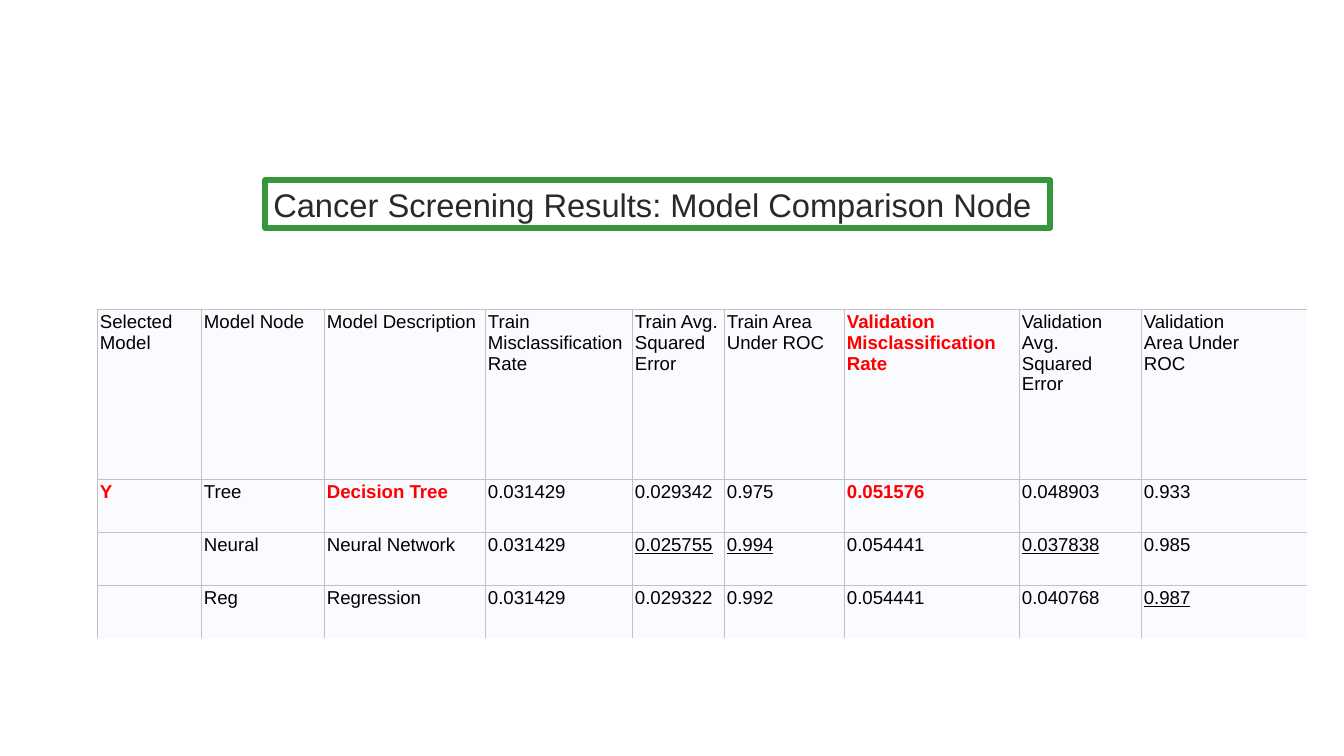
from lxml.etree import SubElement
from pptx import Presentation
from pptx.dml.color import RGBColor
from pptx.enum.shapes import MSO_SHAPE as Shape
from pptx.enum.text import MSO_ANCHOR as Anchor, PP_ALIGN as Align
from pptx.oxml.ns import qn
from pptx.util import Emu, Pt

# Content
TITLE = "Cancer Screening Results: Model Comparison Node"
ROWS = [
    ["Selected\nModel", "Model Node", "Model Description",
     "Train Misclassification\nRate", "Train Avg. Squared\nError",
     "Train Area\nUnder ROC", "Validation Misclassification\nRate",
     "Validation Avg.\nSquared Error", "Validation\nArea Under\nROC"],
    ["Y", "Tree", "Decision Tree", "0.031429", "0.029342", "0.975",
     "0.051576", "0.048903", "0.933"],
    ["", "Neural", "Neural Network", "0.031429", "0.025755", "0.994",
     "0.054441", "0.037838", "0.985"],
    ["", "Reg", "Regression", "0.031429", "0.029322", "0.992",
     "0.054441", "0.040768", "0.987"],
]
# (row, column) of the emphasised cells
WINNERS = {(0, 6), (1, 0), (1, 2), (1, 6)}
BEST_VALUES = {(2, 4), (2, 5), (2, 7), (3, 8)}

# Layout in px
SCALE = 914400 // 84
SLIDE = (1344, 756)
TITLE_BOX = (265, 180, 785, 48)
TABLE_AT = (97, 309)
COLUMN_WIDTHS = [104, 123, 161, 147, 92, 120, 175, 122, 166]
ROW_HEIGHTS = [170, 53, 53, 53]
CELL_MARGIN = 3

FONT = "Arial"
COLORS = {"title": "292929", "frame": "36963C", "text": "000000",
          "winner": "FF0000", "cell": "FAFBFE", "grid": "C1C1C1"}


def px(length):
    return Emu(length * SCALE)


def color(name):
    return RGBColor.from_string(COLORS[name])


def write(para, text, size, color_name):
    para.text = text
    para.alignment = Align.LEFT
    para.font.name = FONT
    para.font.size = Pt(size)
    para.font.color.rgb = color(color_name)


def set_borders(cell, sides):
    props = cell._tc.get_or_add_tcPr()
    for side in "LRTB":
        line = SubElement(props, qn(f"a:ln{side}"), w=str(Pt(0.75)))
        if side in sides:
            fill = SubElement(line, qn("a:solidFill"))
            SubElement(fill, qn("a:srgbClr"), val=COLORS["grid"])
        else:
            SubElement(line, qn("a:noFill"))


deck = Presentation()
deck.slide_width, deck.slide_height = map(px, SLIDE)
page = deck.slides.add_slide(deck.slide_layouts[6])

# Results table, open at its right and bottom edges
last_row, last_column = len(ROWS) - 1, len(COLUMN_WIDTHS) - 1
size = (sum(COLUMN_WIDTHS), sum(ROW_HEIGHTS))
table = page.shapes.add_table(len(ROWS), len(COLUMN_WIDTHS),
                              *map(px, TABLE_AT + size)).table
table.first_row = table.horz_banding = False
for column, width in zip(table.columns, COLUMN_WIDTHS):
    column.width = px(width)
for row, height in zip(table.rows, ROW_HEIGHTS):
    row.height = px(height)

for r, values in enumerate(ROWS):
    for c, value in enumerate(values):
        cell = table.cell(r, c)
        cell.margin_left = cell.margin_right = px(CELL_MARGIN)
        cell.margin_top = cell.margin_bottom = px(CELL_MARGIN)
        right = "R" if c < last_column else ""
        bottom = "B" if r < last_row else ""
        set_borders(cell, "LT" + right + bottom)
        cell.fill.solid()
        cell.fill.fore_color.rgb = color("cell")
        para = cell.text_frame.paragraphs[0]
        winner = (r, c) in WINNERS
        write(para, value, 16, "winner" if winner else "text")
        para.font.bold = winner
        para.font.underline = (r, c) in BEST_VALUES

# Framed title
box = page.shapes.add_shape(Shape.RECTANGLE, *map(px, TITLE_BOX))
box.shadow.inherit = False
box.fill.background()
box.line.color.rgb = color("frame")
box.line.width = Pt(4.5)
frame = box.text_frame
frame.word_wrap = True
frame.vertical_anchor = Anchor.MIDDLE
write(frame.paragraphs[0], TITLE, 28, "title")

deck.save("out.pptx")
